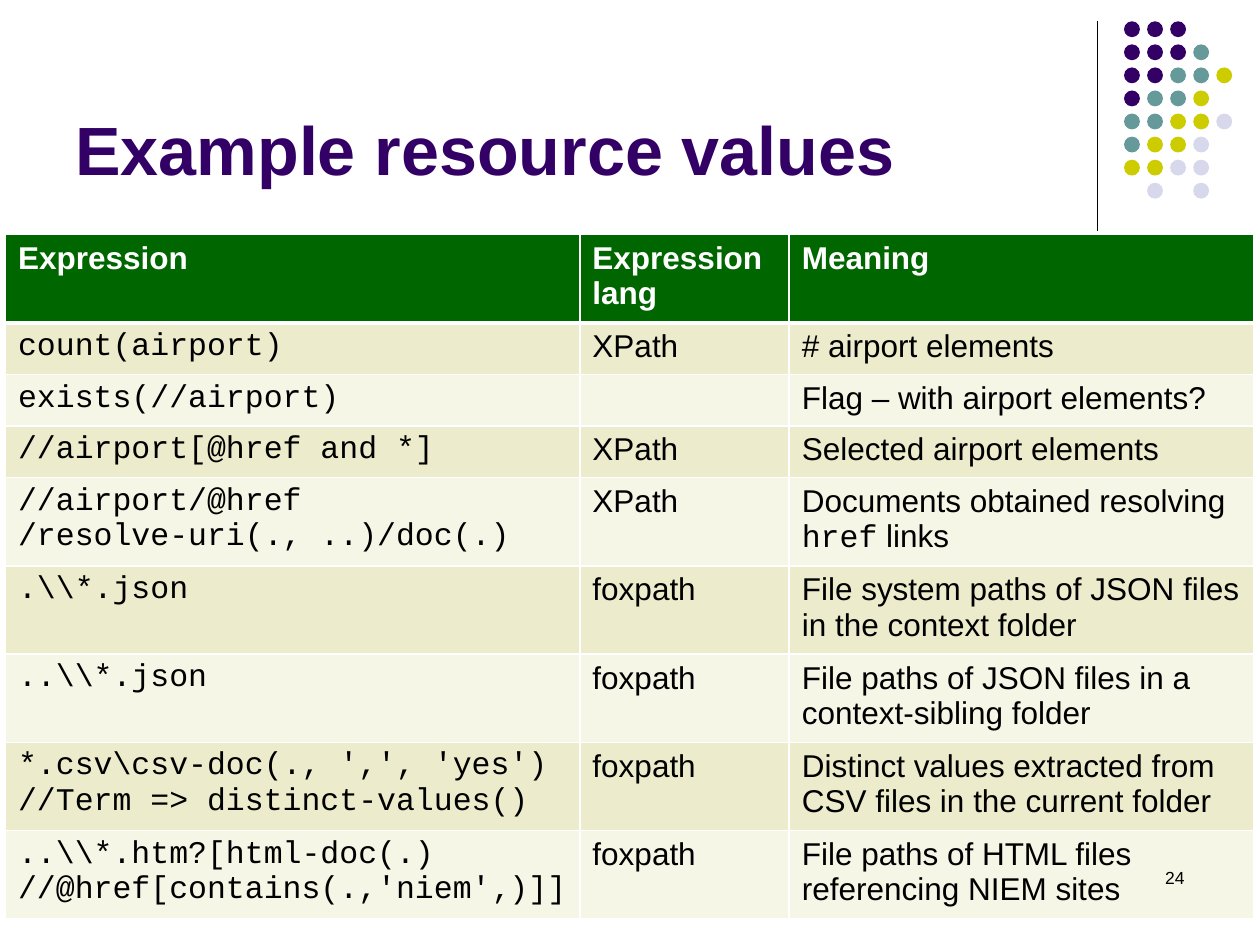
import pptx
import pptx.dml.color
import pptx.enum.shapes
import pptx.enum.text
import pptx.oxml
import pptx.oxml.ns
import pptx.util
from pptx.util import Cm

SANS, MONO = "Arial", "Courier New"
PURPLE, TEAL, LIME, LILAC = "330066", "669999", "CCCC00", "D8D8EC"
BLACK, WHITE, GREEN = "000000", "FFFFFF", "006600"
BANDS = ("ECECCC", "F6F6E7")

DOT_COLOURS = {"P": PURPLE, "T": TEAL, "L": LIME, "G": LILAC}
DOT_ROWS = ("PPP", "PPPT", "PPTTL", "PTTL", "TTLLG", "TLLG", "LLGG", " G G")
DOT_PITCH, DOT_SIZE = 0.465, 0.32
DOT_LEFT, DOT_TOP = 22.66, 0.43

COLUMN_WIDTHS = (11.58, 4.22, 9.37)
ROW_HEIGHT = 1.04
HEADINGS = ("Expression", "Expression lang", "Meaning")
EXAMPLES = (
    (["count(airport)"], "XPath", "# airport elements"),
    (["exists(//airport)"], "", "Flag – with airport elements?"),
    (["//airport[@href and *]"], "XPath", "Selected airport elements"),
    (["//airport/@href", "/resolve-uri(., ..)/doc(.)"], "XPath",
     [("Documents obtained resolving ", SANS), ("href", MONO), (" links", SANS)]),
    ([r".\\*.json"], "foxpath", "File system paths of JSON files in the context folder"),
    ([r"..\\*.json"], "foxpath", "File paths of JSON files in a context-sibling folder"),
    ([r"*.csv\csv-doc(., ',', 'yes')", "//Term => distinct-values()"], "foxpath",
     "Distinct values extracted from CSV files in the current folder"),
    ([r"..\\*.htm?[html-doc(.)", "//@href[contains(.,'niem'‚)]]"], "foxpath",
     "File paths of HTML files referencing NIEM sites"),
)


def colour(value):
    return pptx.dml.color.RGBColor.from_string(value)


def lengths(*values):
    return [Cm(value) for value in values]


def plain(text):
    return [[(text, SANS)]] if text else []


class SlideBuilder:
    def __init__(self, page):
        self.page = page
        self.body = {"size": pptx.util.Pt(18), "bold": False}

    def fill_text(self, frame, paragraphs, ink=BLACK, align=None, **changes):
        for index, spans in enumerate(paragraphs):
            para = frame.paragraphs[0] if index == 0 else frame.add_paragraph()
            para.alignment = align
            for text, name in spans:
                span = para.add_run()
                span.text = text
                for key, value in {**self.body, "name": name, **changes}.items():
                    setattr(span.font, key, value)
                span.font.color.rgb = colour(ink)

    def text(self, place, text, anchor, **style):
        box = self.page.shapes.add_textbox(*lengths(*place))
        box.text_frame.word_wrap = True
        box.text_frame.vertical_anchor = anchor
        self.fill_text(box.text_frame, plain(text), **style)

    def line(self, start, end, ink, width):
        connector = self.page.shapes.add_connector(
            pptx.enum.shapes.MSO_CONNECTOR.STRAIGHT, *lengths(*start, *end))
        connector.line.color.rgb = colour(ink)
        connector.line.width = pptx.util.Pt(width)
        properties = connector.element.find(pptx.oxml.ns.qn("p:spPr"))
        properties.append(pptx.oxml.parse_xml(
            f'<a:effectLst {pptx.oxml.ns.nsdecls("a")}/>'))

    def dot(self, left, top, size, fill):
        shape = self.page.shapes.add_shape(
            pptx.enum.shapes.MSO_SHAPE.OVAL, *lengths(left, top, size, size))
        shape.shadow.inherit = False
        shape.fill.solid()
        shape.fill.fore_color.rgb = colour(fill)
        shape.line.fill.background()

    def border(self, cell, side, width):
        properties = cell._tc.get_or_add_tcPr()
        properties.append(pptx.oxml.parse_xml(
            f'<a:ln{side} {pptx.oxml.ns.nsdecls("a")} w="{pptx.util.Pt(width)}">'
            f'<a:solidFill><a:srgbClr val="{WHITE}"/></a:solidFill></a:ln{side}>'))

    def cell(self, cell, paragraphs, fill, top=1, bottom=1, **style):
        for side, width in {"L": 1, "R": 1, "T": top, "B": bottom}.items():
            self.border(cell, side, width)
        cell.fill.solid()
        cell.fill.fore_color.rgb = colour(fill)
        self.fill_text(cell.text_frame, paragraphs, **style)

    def table(self, left, top):
        count = len(EXAMPLES) + 1
        table = self.page.shapes.add_table(
            count, len(COLUMN_WIDTHS),
            *lengths(left, top, sum(COLUMN_WIDTHS), count * ROW_HEIGHT)).table
        for column, width in zip(table.columns, COLUMN_WIDTHS):
            column.width = Cm(width)
        for row in table.rows:
            row.height = Cm(ROW_HEIGHT)
        for index, heading in enumerate(HEADINGS):
            self.cell(table.cell(0, index), plain(heading), GREEN,
                      bottom=3, ink=WHITE, bold=True)
        for row, (code, language, meaning) in enumerate(EXAMPLES, 1):
            contents = (
                [[(text, MONO)] for text in code],
                plain(language),
                plain(meaning) if isinstance(meaning, str) else [meaning],
            )
            for index, paragraphs in enumerate(contents):
                self.cell(table.cell(row, index), paragraphs, BANDS[(row - 1) % 2],
                          top=3 if row == 1 else 1)


def main():
    deck = pptx.Presentation()
    deck.slide_width, deck.slide_height = lengths(25.4, 19.05)
    builder = SlideBuilder(deck.slides.add_slide(deck.slide_layouts[6]))
    anchors = pptx.enum.text.MSO_ANCHOR

    builder.line((22.12, 0.43), (22.12, 4.65), BLACK, 0.75)
    for row, pattern in enumerate(DOT_ROWS):
        for column, key in enumerate(pattern):
            if key in DOT_COLOURS:
                builder.dot(DOT_LEFT + column * DOT_PITCH, DOT_TOP + row * DOT_PITCH,
                            DOT_SIZE, DOT_COLOURS[key])
    builder.text((1.27, 0.33, 20.96, 3.6), "Example resource values", anchors.BOTTOM,
                 ink=PURPLE, size=pptx.util.Pt(39), bold=True)
    builder.table(0.11, 4.73)
    builder.text((18.2, 17.35, 5.93, 1.27), "24", anchors.TOP,
                 align=pptx.enum.text.PP_ALIGN.RIGHT, size=pptx.util.Pt(10))
    deck.save("out.pptx")


if __name__ == "__main__":
    main()
